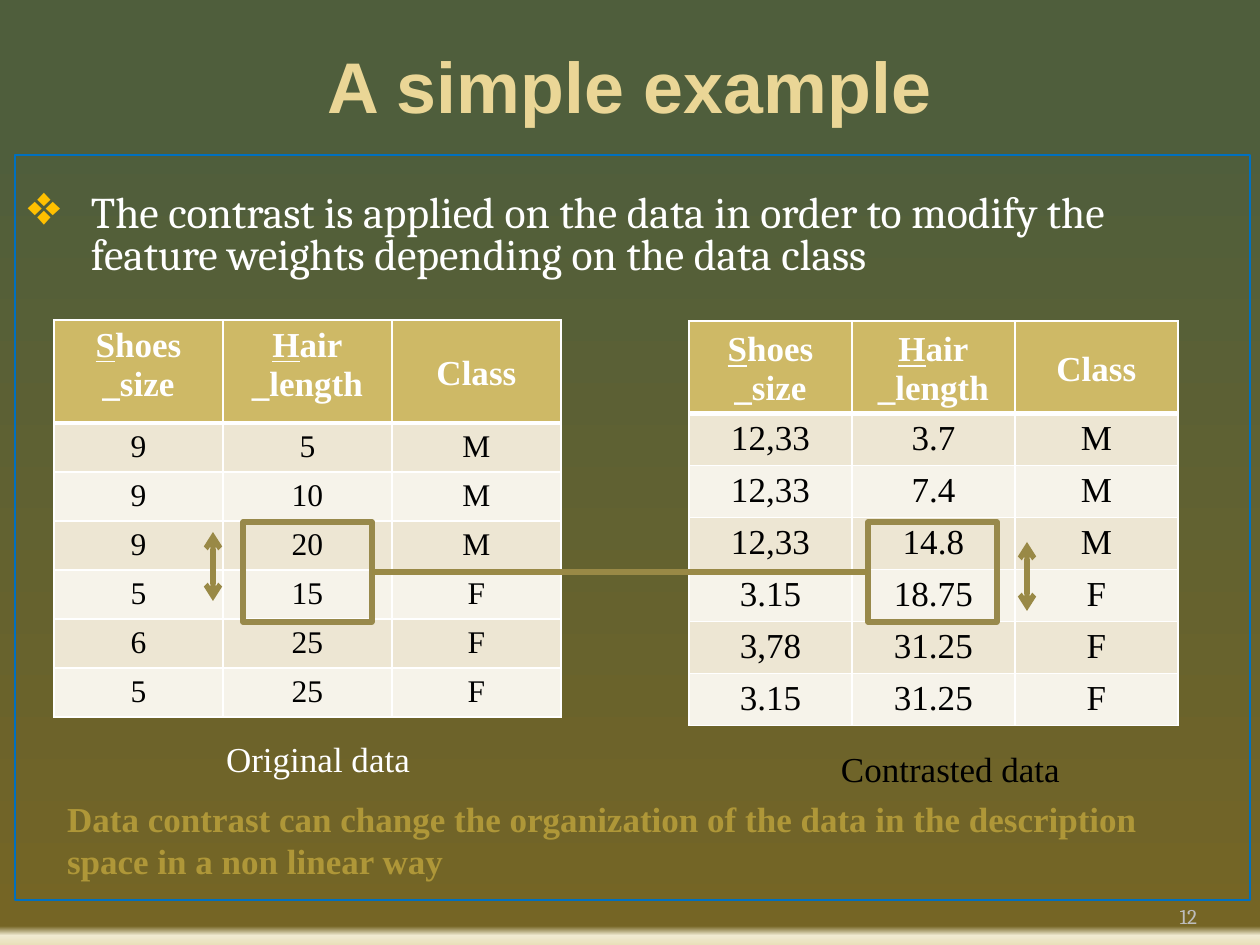
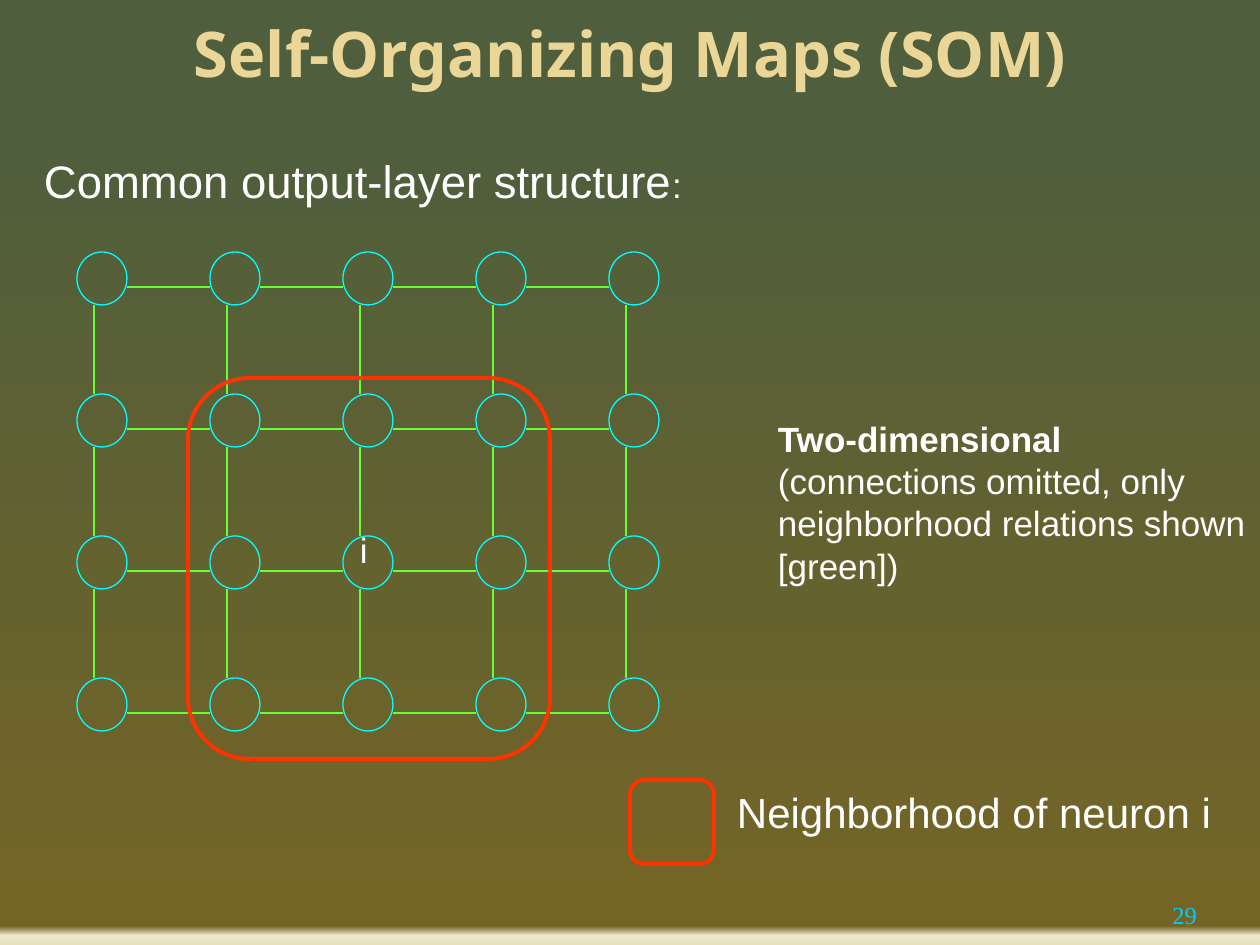
import pptx
import pptx.util
import pptx.dml.color
import pptx.enum.shapes
import pptx.enum.text
import pptx.oxml
import pptx.oxml.ns
from lxml import etree

# ---------- Content ----------
EXAMPLE_TITLE = "A simple example"
EXAMPLE_POINT = ("The contrast is applied on the data in order to modify the "
                 "feature weights depending on the data class")
EXAMPLE_CONCLUSION = ("Data contrast can change the organization of the data in the "
                      "description space in a non linear way")
TABLE_HEADER = [("S", "hoes\n_size"), ("H", "air\n_length"), ("", "Class")]
DATA_TABLES = [
    {"at": (54, 320), "column": 169, "header": 103, "row": 49, "size": 18,
     "header_anchors": ("TOP", "TOP", "MIDDLE"),
     "caption": ("Original data", "white", (213, 731, 230, 55)),
     "rows": [("9", "5", "M"), ("9", "10", "M"), ("9", "20", "M"),
              ("5", "15", "F"), ("6", "25", "F"), ("5", "25", "F")]},
    {"at": (689, 321), "column": 163, "header": 92, "row": 52, "size": 20,
     "header_anchors": ("MIDDLE", "MIDDLE", "MIDDLE"),
     "caption": ("Contrasted data", "black", (828, 741, 265, 55)),
     "rows": [("12,33", "3.7", "M"), ("12,33", "7.4", "M"), ("12,33", "14.8", "M"),
              ("3.15", "18.75", "F"), ("3,78", "31.25", "F"), ("3.15", "31.25", "F")]},
]
HIGHLIGHTS = [(243, 522, 129, 100), (868, 522, 129, 100)]
CLASS_ARROWS = [(1027, 542, 611), (213, 532, 601)]  # x, top, bottom

MAP_TITLE = "Self-Organizing Maps (SOM)"
MAP_TEXTS = [
    ((31, 147, 809, 84), [("Common output-layer structure", {"size": 26}), (":", {})]),
    ((765, 412, 577, 305), [
        ("Two-dimensional\n", {"bold": True}),
        ("(connections omitted, only neighborhood relations shown [green])", {})]),
    ((347, 523, 55, 113), [("i", {})]),
    ((724, 780, 504, 84), [("Neighborhood of neuron i", {"size": 24})]),
]
GRID = {"left": 77, "top": 252, "columns": 5, "rows": 4, "step_x": 133, "step_y": 142,
        "width": 50, "height": 53, "link_x": 17, "link_y": 35}
NEIGHBORHOODS = [(188, 378, 362, 381), (630, 780, 84, 84)]

# ---------- Shared style ----------
COLORS = {
    "title": "EAD696", "white": "FFFFFF", "black": "000000", "grey": "BDBDBD",
    "cyan": "00CCFF", "frame": "0070C0", "bullet": "FFC000", "conclusion": "AF9738",
    "header": "CEB966", "band_dark": "EDE6D3", "band_light": "F6F3EA",
    "highlight": "98894B", "arrow": "998946", "neuron": "00FFFF",
    "link": "66FF33", "neighborhood": "FF3300",
}
BACKGROUND_STOPS = [(14, "4F5E3C"), (98, "756525"), (99, "F0EAD1"), (100, "E9E0BA")]
SCALE = 914400 / 126
SERIF = "Times New Roman"
INSETS = (13, 6, 13, 6)  # left, top, right, bottom
ANCHOR = pptx.enum.text.MSO_ANCHOR
ALIGN = pptx.enum.text.PP_ALIGN
SHAPE = pptx.enum.shapes.MSO_SHAPE


def px(length):
    return pptx.util.Emu(round(length * SCALE))


def place(box):
    return [px(length) for length in box]


def rgb(name):
    return pptx.dml.color.RGBColor.from_string(COLORS[name])


def add_element(parent, tag, **attributes):
    return etree.SubElement(parent, pptx.oxml.ns.qn(tag), **attributes)


# ---------- Text ----------
def write_runs(paragraph, pieces, size, font, color, align=ALIGN.LEFT, bold=False):
    """Fill a paragraph from (text, changes) pieces; a newline is a line break."""
    paragraph.alignment = align
    for text, changes in pieces:
        for index, line in enumerate(text.split("\n")):
            if index:
                paragraph.add_line_break()
            if not line:
                continue
            run = paragraph.add_run()
            run.text = line
            run.font.name = font
            run.font.size = pptx.util.Pt(changes.get("size", size))
            run.font.bold = changes.get("bold", bold)
            run.font.underline = changes.get("underline", False)
            run.font.color.rgb = rgb(color)


def set_frame(text_frame, anchor=ANCHOR.TOP, insets=INSETS):
    text_frame.word_wrap = True
    text_frame.vertical_anchor = anchor
    (text_frame.margin_left, text_frame.margin_top,
     text_frame.margin_right, text_frame.margin_bottom) = place(insets)


def add_text(slide, box, pieces, size, font, color, align=ALIGN.LEFT, bold=False, **frame):
    text_frame = slide.shapes.add_textbox(*place(box)).text_frame
    set_frame(text_frame, **frame)
    write_runs(text_frame.paragraphs[0], pieces, size, font, color, align, bold)


# ---------- Shapes and lines ----------
def add_outline(slide, kind, box, color, width):
    shape = slide.shapes.add_shape(kind, *place(box))
    shape.shadow.inherit = False
    shape.fill.background()
    shape.line.color.rgb = rgb(color)
    shape.line.width = pptx.util.Pt(width)
    return shape


def add_line(slide, start, end, color, width, arrows=False):
    connector = slide.shapes.add_connector(
        pptx.enum.shapes.MSO_CONNECTOR.STRAIGHT, *place(start + end))
    connector.line.color.rgb = rgb(color)
    connector.line.width = pptx.util.Pt(width)
    if arrows:
        line = connector.line._get_or_add_ln()
        for tag in ("a:headEnd", "a:tailEnd"):
            add_element(line, tag, type="arrow")
    add_element(connector._element.spPr, "a:effectLst")
    return connector


# ---------- Tables ----------
def style_cell(cell, fill, top, bottom):
    """Set borders, fill and a low bottom margin that lets rows keep their height."""
    cell.margin_bottom = px(2)
    properties = cell._tc.get_or_add_tcPr()
    for side, width in (("L", 1), ("R", 1), ("T", top), ("B", bottom)):
        line = add_element(properties, "a:ln" + side, w=str(pptx.util.Pt(width)))
        add_element(add_element(line, "a:solidFill"), "a:srgbClr", val=COLORS["white"])
    cell.fill.solid()
    cell.fill.fore_color.rgb = rgb(fill)


def add_data_table(slide, data):
    heights = [data["header"]] + [data["row"]] * len(data["rows"])
    columns = len(TABLE_HEADER)
    box = (*data["at"], columns * data["column"], sum(heights))
    table = slide.shapes.add_table(len(heights), columns, *place(box)).table
    for column in table.columns:
        column.width = px(data["column"])
    for row, height in zip(table.rows, heights):
        row.height = px(height)

    for index, (initial, rest) in enumerate(TABLE_HEADER):
        cell = table.cell(0, index)
        cell.vertical_anchor = ANCHOR[data["header_anchors"][index]]
        style_cell(cell, "header", 1, 3)
        pieces = [(initial, {"underline": True}), (rest, {})]
        write_runs(cell.text_frame.paragraphs[0], pieces, 20, SERIF, "white",
                   ALIGN.CENTER, bold=True)

    for row_index, values in enumerate(data["rows"], 1):
        band = "band_dark" if row_index % 2 else "band_light"
        for column_index, value in enumerate(values):
            cell = table.cell(row_index, column_index)
            style_cell(cell, band, 3 if row_index == 1 else 1, 1)
            write_runs(cell.text_frame.paragraphs[0], [(value, {})], data["size"],
                       SERIF, "black", ALIGN.CENTER)


# ---------- Slides ----------
def add_slide(presentation, title, title_box, title_size, title_font,
              number, number_size, number_font, number_color):
    slide = presentation.slides.add_slide(presentation.slide_layouts[6])
    fill = slide.background.fill
    fill.gradient()
    fill.gradient_angle = 270
    stops = slide.element.find(".//" + pptx.oxml.ns.qn("a:gsLst"))
    for stop in list(stops):
        stops.remove(stop)
    for position, color in BACKGROUND_STOPS:
        stop = add_element(stops, "a:gs", pos=str(position * 1000))
        add_element(stop, "a:srgbClr", val=color)
    add_text(slide, title_box, [(title, {})], title_size, title_font, "title",
             ALIGN.CENTER, bold=True, anchor=ANCHOR.MIDDLE)
    add_text(slide, (1092, 885, 105, 50), [(number, {})], number_size, number_font,
             number_color, ALIGN.RIGHT, anchor=ANCHOR.BOTTOM, insets=(0, 6, 0, 6))
    return slide


def build_example(presentation):
    slide = add_slide(presentation, EXAMPLE_TITLE, (63, 6, 1134, 158), 41, "Arial",
                      "12", 12, "Cambria", "grey")

    # Framed bullet point
    frame = add_outline(slide, SHAPE.RECTANGLE, (15, 155, 1235, 745), "frame", 0.75)
    set_frame(frame.text_frame, insets=(13, 40, 13, 6))
    paragraph = frame.text_frame.paragraphs[0]
    paragraph.line_spacing = 0.8
    properties = paragraph._p.get_or_add_pPr()
    properties.set("marL", str(px(63)))
    properties.set("indent", str(px(-63)))
    add_element(add_element(properties, "a:buClr"), "a:srgbClr", val=COLORS["bullet"])
    add_element(properties, "a:buSzPct", val="130000")
    add_element(properties, "a:buChar", char="❖")
    write_runs(paragraph, [(EXAMPLE_POINT, {})], 25, "Cambria", "white")

    # Tables with captions
    for data in DATA_TABLES:
        add_data_table(slide, data)
        caption, color, box = data["caption"]
        add_text(slide, box, [(caption, {})], 20, SERIF, color)
    add_text(slide, (54, 791, 1181, 97), [(EXAMPLE_CONCLUSION, {})], 20, SERIF,
             "conclusion", bold=True)

    # Linked highlights and class boundary arrows
    before, after = [add_outline(slide, SHAPE.RECTANGLE, box, "highlight", 3)
                     for box in HIGHLIGHTS]
    link = add_line(slide, (372, 572), (868, 572), "arrow", 3)
    link.begin_connect(before, 3)
    link.end_connect(after, 1)
    for x, top, bottom in CLASS_ARROWS:
        add_line(slide, (x, top), (x, bottom), "arrow", 3, arrows=True)


def build_map(presentation):
    slide = add_slide(presentation, MAP_TITLE, (0, 0, 1260, 105), 36, "Noto Sans",
                      "29", 14, SERIF, "cyan")

    # Neuron grid with links to the right and downward neighbors
    for row in range(GRID["rows"]):
        for column in range(GRID["columns"]):
            x = GRID["left"] + column * GRID["step_x"]
            y = GRID["top"] + row * GRID["step_y"]
            add_outline(slide, SHAPE.OVAL, (x, y, GRID["width"], GRID["height"]),
                        "neuron", 0.75)
            if column < GRID["columns"] - 1:
                link_y = y + GRID["link_y"]
                add_line(slide, (x + GRID["width"], link_y),
                         (x + GRID["step_x"], link_y), "link", 0.75)
            if row < GRID["rows"] - 1:
                link_x = x + GRID["link_x"]
                add_line(slide, (link_x, y + GRID["height"]),
                         (link_x, y + GRID["step_y"]), "link", 0.75)

    # Neighborhood outline and its legend key
    for box in NEIGHBORHOODS:
        outline = add_outline(slide, SHAPE.ROUNDED_RECTANGLE, box, "neighborhood", 2.25)
        outline.adjustments[0] = 0.17

    for box, pieces in MAP_TEXTS:
        add_text(slide, box, pieces, 20, "Arial", "white")


def main():
    presentation = pptx.Presentation()
    presentation.slide_width = px(1260)
    presentation.slide_height = px(945)
    build_example(presentation)
    build_map(presentation)
    presentation.save("out.pptx")


if __name__ == "__main__":
    main()
